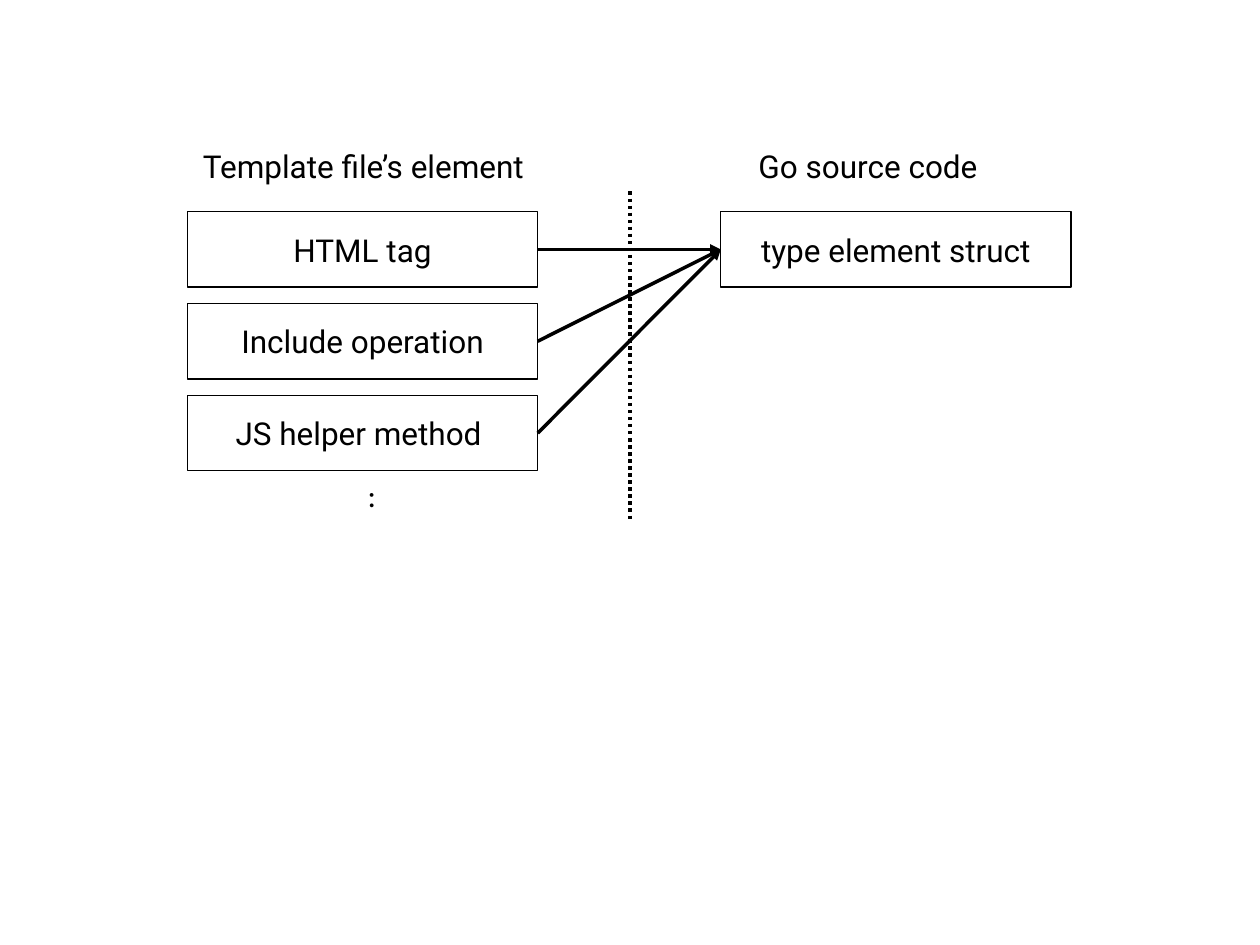
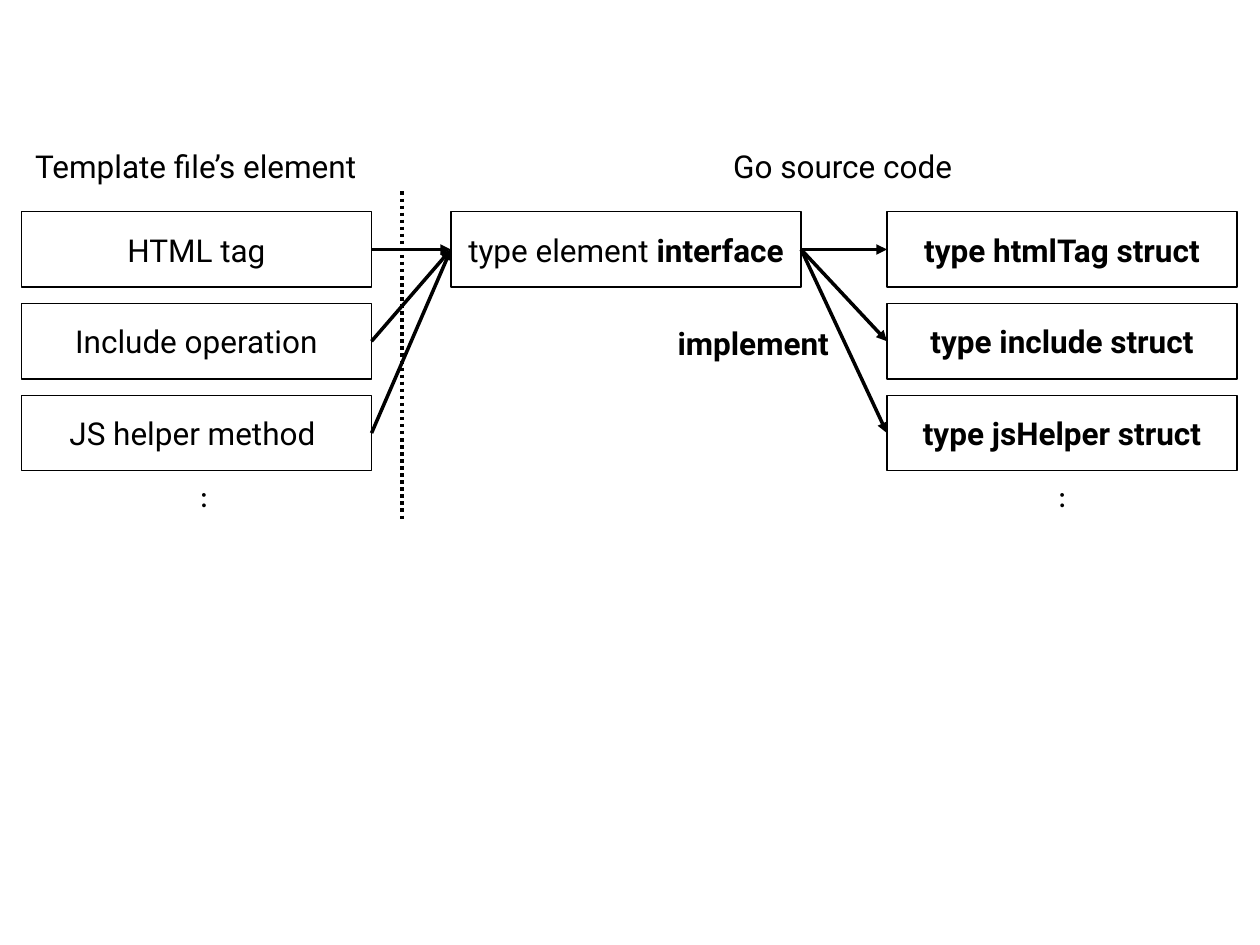
from pptx import Presentation
from pptx.dml.color import RGBColor
from pptx.enum.dml import MSO_LINE
from pptx.enum.shapes import MSO_CONNECTOR, MSO_SHAPE
from pptx.enum.text import MSO_ANCHOR, MSO_AUTO_SIZE, PP_ALIGN
from pptx.oxml.ns import qn
from pptx.util import Cm, Pt
from lxml.etree import SubElement

INK = "000000"
FONT, DOTS = "Roboto", "Calibri"
WIDE, HIGH, TOP, STEP = 7.06, 1.52, 4.27, 1.85
HEAD, MORE = 2.84, 9.48
RULE = (3.86, 10.52)

PARTS = [[("HTML tag", False)],
         [("Include operation", False)],
         [("JS helper method ", False)]]
LEFT = "Template file’s element"
RIGHT = "Go source code"

SLIDES = [
    {"rule": 12.7,
     "cols": [(3.78, PARTS),
              (14.53, [[("type element struct", False)]])],
     "notes": [(LEFT, 3.84, HEAD, 7.04, FONT, False),
               (RIGHT, 15.04, HEAD, 5.03, FONT, False),
               (":", 7.16, MORE, 0.69, DOTS, False)]},
    {"rule": 8.1,
     "cols": [(0.43, PARTS),
              (9.09, [[("type element ", False), ("interface", True)]]),
              (17.88, [[("type htmlTag struct", True)],
                       [("type include struct", True)],
                       [("type jsHelper struct", True)]])],
     "notes": [(LEFT, 0.46, HEAD, 7.04, FONT, False),
               (RIGHT, 14.53, HEAD, 5.03, FONT, False),
               (":", 3.78, MORE, 0.69, DOTS, False),
               (":", 21.08, MORE, 0.69, DOTS, False),
               ("implement", 13.41, 6.4, 3.76, FONT, True)]},
]


def color(code):
    return RGBColor.from_string(code)


def write(frame, runs, font=FONT):
    for text, bold in runs:
        run = frame.paragraphs[0].add_run()
        run.text = text
        run.font.name = font
        run.font.size = Pt(18)
        run.font.bold = bold
        run.font.color.rgb = color(INK)


def stroke(line, width):
    line.color.rgb = color(INK)
    line.width = Pt(width)


def add_line(slide, x1, y1, x2, y2):
    link = slide.shapes.add_connector(
        MSO_CONNECTOR.STRAIGHT, Cm(x1), Cm(y1), Cm(x2), Cm(y2))
    stroke(link.line, 2)
    SubElement(link._element.spPr, qn("a:effectLst"))
    return link


def add_box(slide, x, y, runs):
    box = slide.shapes.add_shape(
        MSO_SHAPE.RECTANGLE, Cm(x), Cm(y), Cm(WIDE), Cm(HIGH))
    box.shadow.inherit = False
    box.fill.background()
    stroke(box.line, 0.75)
    frame = box.text_frame
    frame.word_wrap = True
    frame.vertical_anchor = MSO_ANCHOR.MIDDLE
    frame.paragraphs[0].alignment = PP_ALIGN.CENTER
    write(frame, runs)
    return box


def add_note(slide, text, x, y, width, font, bold):
    note = slide.shapes.add_textbox(Cm(x), Cm(y), Cm(width), Cm(1.03))
    frame = note.text_frame
    frame.word_wrap = False
    frame.auto_size = MSO_AUTO_SIZE.SHAPE_TO_FIT_TEXT
    write(frame, [(text, bold)], font)


def add_arrow(slide, start, end):
    link = add_line(slide, 0, 0, 1, 1)
    link.begin_connect(start, 3)
    link.end_connect(end, 1)
    SubElement(link.line._get_or_add_ln(), qn("a:tailEnd"), type="triangle")


deck = Presentation()
deck.slide_width, deck.slide_height = Cm(25.4), Cm(19.05)
for page in SLIDES:
    slide = deck.slides.add_slide(deck.slide_layouts[6])
    rule = add_line(slide, page["rule"], RULE[0], page["rule"], RULE[1])
    rule.line.dash_style = MSO_LINE.ROUND_DOT
    cols = [[add_box(slide, x, TOP + row * STEP, runs)
             for row, runs in enumerate(items)]
            for x, items in page["cols"]]
    for near, far in zip(cols, cols[1:]):
        for start in near:
            for end in far:
                add_arrow(slide, start, end)
    for note in page["notes"]:
        add_note(slide, *note)
deck.save("out.pptx")
